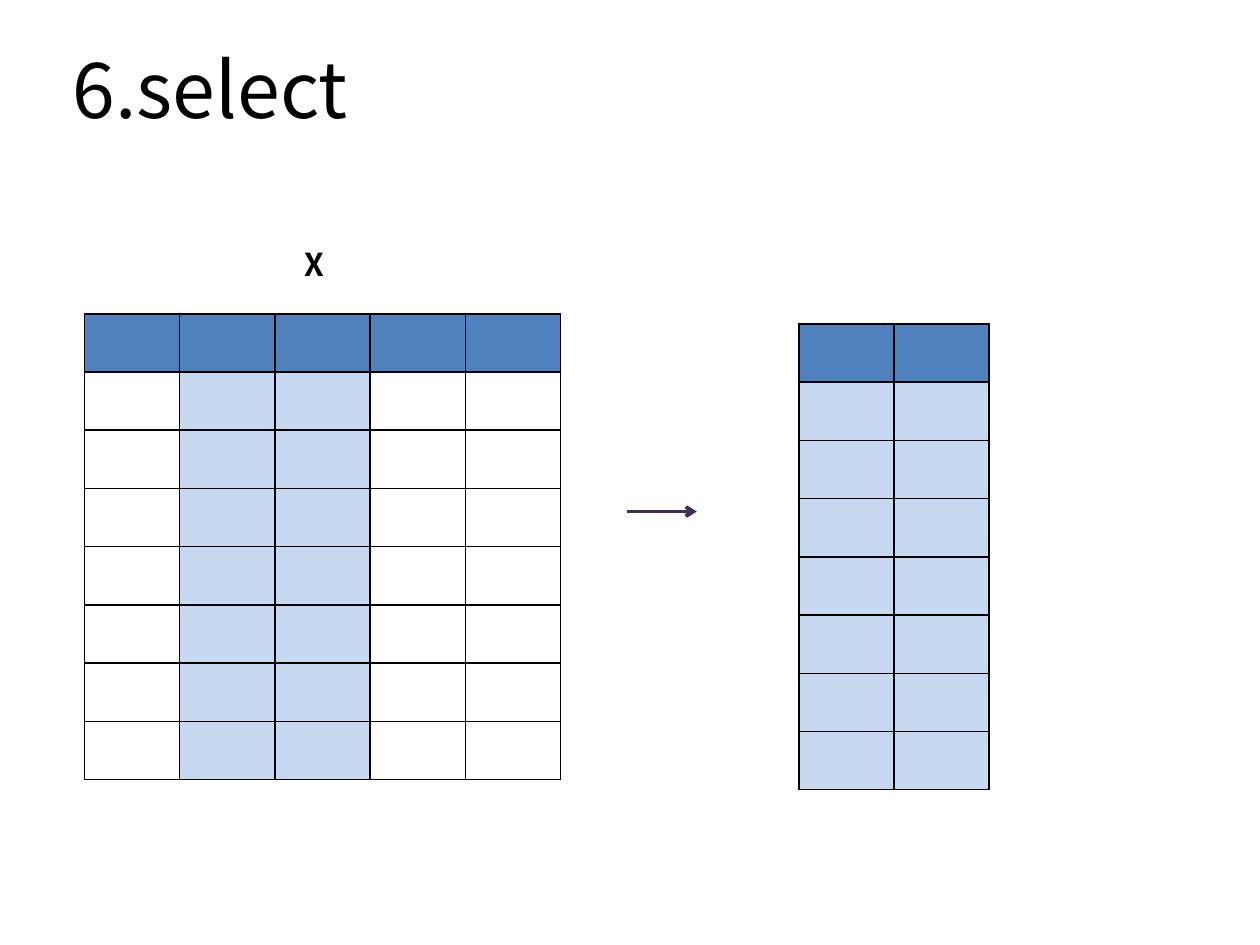
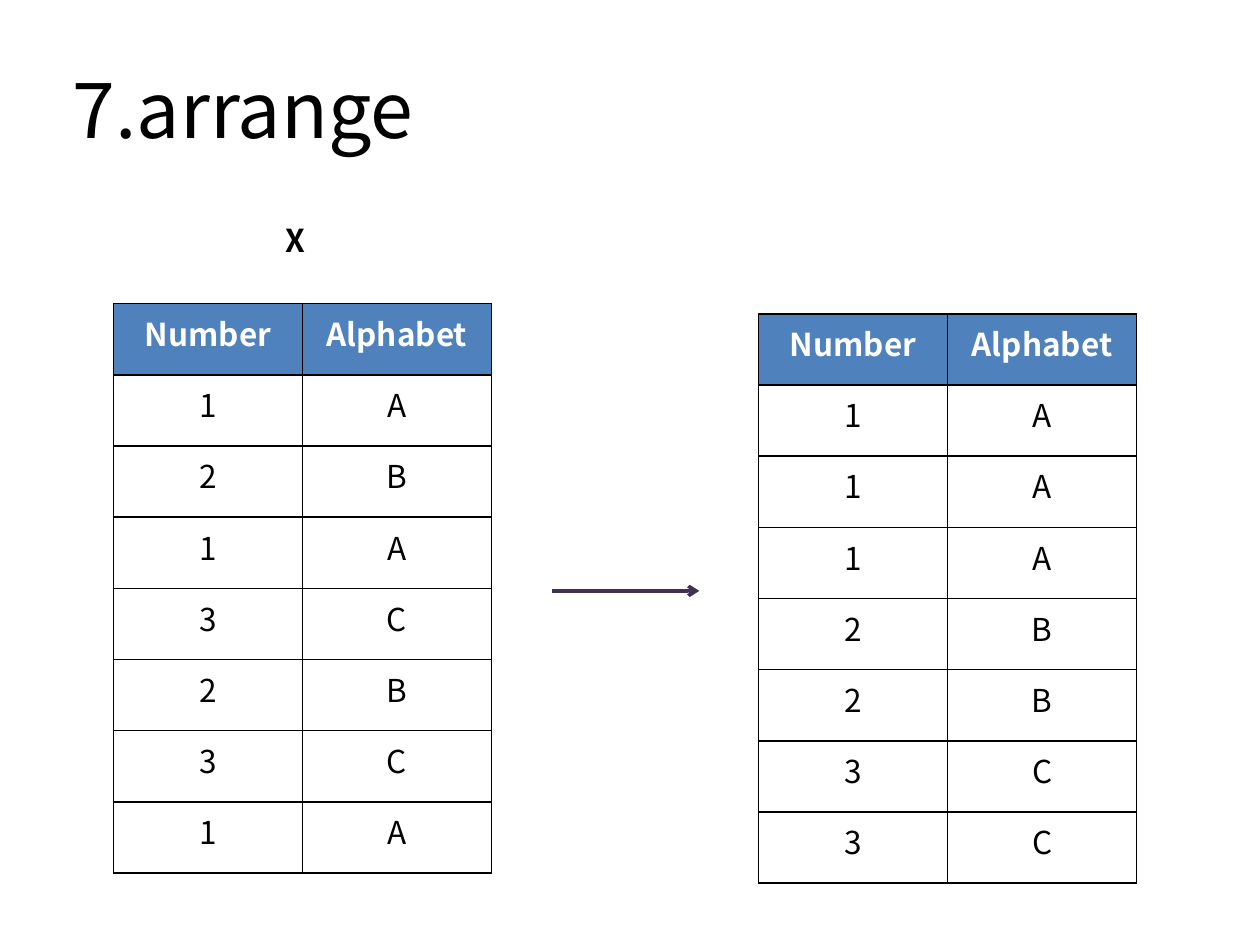
import lxml.etree
import pptx
import pptx.dml.color
import pptx.enum.shapes
import pptx.enum.text
import pptx.oxml.ns
import pptx.util

Inches = pptx.util.Inches
Pt = pptx.util.Pt
qn = pptx.oxml.ns.qn
RGBColor = pptx.dml.color.RGBColor
ALIGN = pptx.enum.text.PP_ALIGN
AUTO_SIZE = pptx.enum.text.MSO_AUTO_SIZE

FONT = "Noto Sans CJK KR"
BLACK = RGBColor(0x00, 0x00, 0x00)
WHITE = RGBColor(0xFF, 0xFF, 0xFF)
HEADER = RGBColor(0x4F, 0x81, 0xBD)
SELECTED = RGBColor(0xC6, 0xD9, 0xF1)
ARROW = RGBColor(0x40, 0x31, 0x52)

ROW_COUNT = 8
HEADINGS = ("Number", "Alphabet")
LETTERS = {1: "A", 2: "B", 3: "C"}
NUMBERS = (1, 2, 1, 3, 2, 3, 1)


def write(para, text, size=18, color=BLACK, bold=False, align=None, spacing=None):
    para.alignment = align
    para.line_spacing = spacing
    if not text:
        end = lxml.etree.SubElement(para._p, qn("a:endParaRPr"), sz=str(size * 100))
        for tag in ("a:latin", "a:ea"):
            lxml.etree.SubElement(end, qn(tag), typeface=FONT)
        return
    span = para.add_run()
    span.text = text
    span.font.name = FONT
    span.font.size = Pt(size)
    span.font.bold = bold
    span.font.color.rgb = color


class Builder:
    """Draws the elements of the current page in the shared style."""

    def __init__(self):
        self.deck = pptx.Presentation()
        self.deck.slide_width = Inches(10)
        self.deck.slide_height = Inches(7.5)
        self.page = None

    def new_page(self):
        self.page = self.deck.slides.add_slide(self.deck.slide_layouts[6])

    def text(self, left, top, width, height, text, auto_size=AUTO_SIZE.NONE, **style):
        box = self.page.shapes.add_textbox(
            Inches(left), Inches(top), Inches(width), Inches(height))
        frame = box.text_frame
        frame.word_wrap = True
        frame.auto_size = auto_size
        write(frame.paragraphs[0], text, spacing=0.9, **style)

    def title(self, top, text):
        self.text(0.48, top, 9, 0.95, text, size=44)

    def label(self, left, top, text):
        self.text(left, top, 0.79, 0.4, text, AUTO_SIZE.SHAPE_TO_FIT_TEXT, bold=True)

    def arrow(self, start, end, y):
        line = self.page.shapes.add_connector(
            pptx.enum.shapes.MSO_CONNECTOR.STRAIGHT,
            Inches(start), Inches(y), Inches(end), Inches(y))
        line.line.color.rgb = ARROW
        line.line.width = Pt(2)
        lxml.etree.SubElement(line.line._get_or_add_ln(), qn("a:tailEnd"), type="arrow")
        lxml.etree.SubElement(line._element.spPr, qn("a:effectLst"))

    def border(self, cell):
        properties = cell._tc.get_or_add_tcPr()
        for side in "LRTB":
            edge = lxml.etree.SubElement(properties, qn(f"a:ln{side}"), w=str(Pt(1)))
            fill = lxml.etree.SubElement(edge, qn("a:solidFill"))
            lxml.etree.SubElement(fill, qn("a:srgbClr"), val=str(BLACK))

    def table(self, left, top, width, height, rows, selected=()):
        table = self.page.shapes.add_table(
            len(rows), len(rows[0]),
            Inches(left), Inches(top), Inches(width), Inches(height)).table
        table.first_row = table.horz_banding = False
        for i, row in enumerate(rows):
            for j, text in enumerate(row):
                cell = table.cell(i, j)
                self.border(cell)
                if i == 0 or j in selected:
                    cell.fill.solid()
                    cell.fill.fore_color.rgb = HEADER if i == 0 else SELECTED
                else:
                    cell.fill.background()
                write(cell.text_frame.paragraphs[0], text, align=ALIGN.CENTER,
                      color=WHITE if i == 0 else BLACK, bold=i == 0)


def empty_rows(columns):
    return [[""] * columns for _ in range(ROW_COUNT)]


def number_rows(numbers):
    return [HEADINGS] + [(str(number), LETTERS[number]) for number in numbers]


def select_page(builder):
    builder.new_page()
    builder.table(0.67, 2.49, 3.78, 3.24, empty_rows(5), selected=(1, 2))
    builder.title(0.36, "6.select")
    builder.arrow(4.98, 5.53, 4.06)
    builder.table(6.34, 2.57, 1.51, 3.24, empty_rows(2), selected=(0, 1))
    builder.label(2.32, 1.93, "X")


def arrange_page(builder):
    builder.new_page()
    builder.title(0.52, "7.arrange")
    builder.table(0.9, 2.41, 3, 4.52, number_rows(NUMBERS))
    builder.arrow(4.38, 5.55, 4.69)
    builder.table(6.02, 2.49, 3, 4.52, number_rows(sorted(NUMBERS)))
    builder.label(2.17, 1.74, "X")


def main():
    builder = Builder()
    select_page(builder)
    arrange_page(builder)
    builder.deck.save("out.pptx")


if __name__ == "__main__":
    main()
